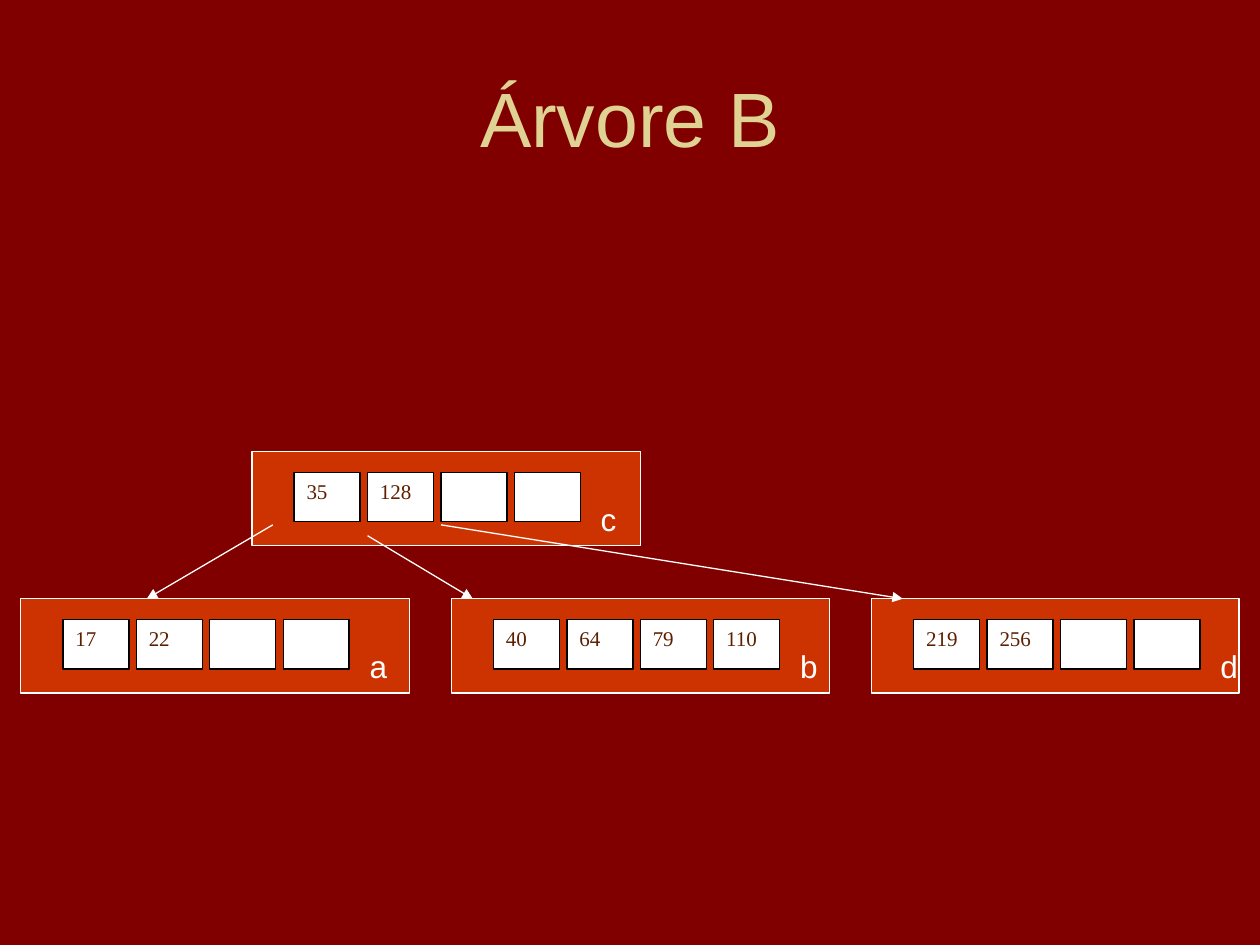
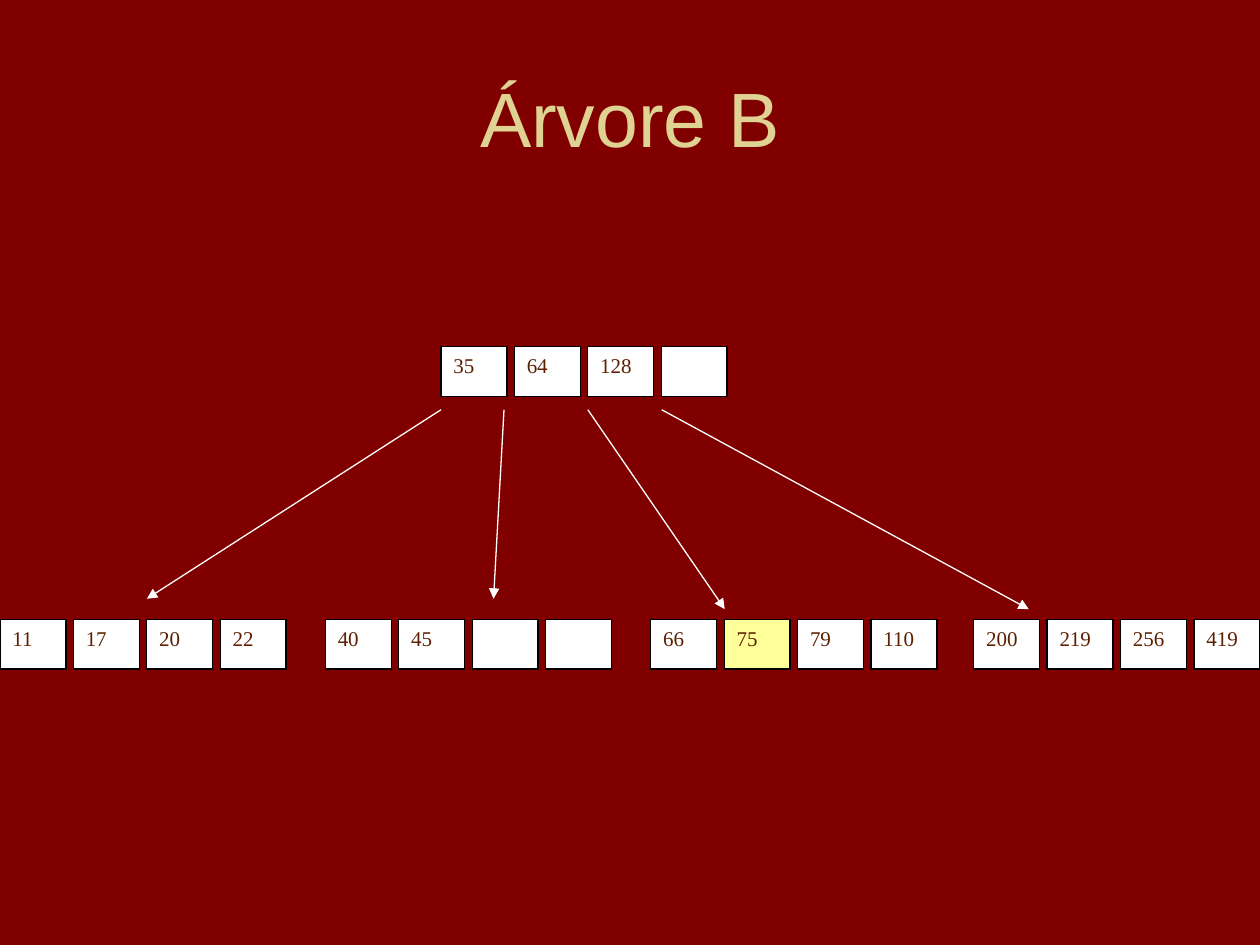
from lxml import etree
from pptx import Presentation
from pptx.dml.color import RGBColor
from pptx.enum.shapes import MSO_CONNECTOR, MSO_SHAPE
from pptx.enum.text import MSO_ANCHOR, MSO_AUTO_SIZE, PP_ALIGN
from pptx.oxml.ns import qn
from pptx.util import Cm, Pt

RECTANGLE = MSO_SHAPE.RECTANGLE
STRAIGHT = MSO_CONNECTOR.STRAIGHT
TOP, MIDDLE = MSO_ANCHOR.TOP, MSO_ANCHOR.MIDDLE
LEFT, CENTER = PP_ALIGN.LEFT, PP_ALIGN.CENTER
GROW = MSO_AUTO_SIZE.SHAPE_TO_FIT_TEXT

COLORS = {
    "background": "800000",
    "title": "DFD293",
    "page": "CC3300",
    "key": "FFFFFF",
    "new_key": "FFFF99",
    "key_border": "000000",
    "key_text": "5C1F00",
    "white": "FFFFFF",
}
TITLE_FONT, KEY_FONT = "Arial", "Times New Roman"
LINE_WIDTH = Pt(0.75)

# Lengths in centimetres
KEYS_PER_PAGE = 4
KEY_WIDTH, KEY_HEIGHT, KEY_STEP = 1.33, 1, 1.48
PAGE_HEIGHT = 1.9
KEYS_OFFSET = (0.85, 0.42)
LABEL_OFFSET = (6.78, 0.85)
LABEL_SIZE = (0.86, 1.02)


def color(name):
    return RGBColor.from_string(COLORS[name])


def write(shape, text, font, size, color_name, alignment=LEFT, anchor=TOP):
    text_frame = shape.text_frame
    text_frame.text = text
    text_frame.vertical_anchor = anchor
    paragraph = text_frame.paragraphs[0]
    paragraph.alignment = alignment
    run = paragraph.runs[0]
    run.font.name = font
    run.font.size = Pt(size)
    run.font.color.rgb = color(color_name)


def add_box(slide, left, top, width, height, fill, border):
    shape = slide.shapes.add_shape(RECTANGLE, Cm(left), Cm(top), Cm(width), Cm(height))
    shape.shadow.inherit = False
    shape.fill.solid()
    shape.fill.fore_color.rgb = color(fill)
    shape.line.color.rgb = color(border)
    shape.line.width = LINE_WIDTH
    return shape


def add_keys(slide, left, top, keys, new_key=None):
    """Draw one row of key cells, leaving unused cells empty."""
    for index in range(KEYS_PER_PAGE):
        key = keys[index] if index < len(keys) else None
        fill = "new_key" if key and key == new_key else "key"
        cell = add_box(slide, left + index * KEY_STEP, top,
                       KEY_WIDTH, KEY_HEIGHT, fill, "key_border")
        if key:
            write(cell, str(key), KEY_FONT, 12, "key_text")


def add_page(slide, label, left, top, width, keys):
    """Draw a framed page with its keys and its letter."""
    add_box(slide, left, top, width, PAGE_HEIGHT, "page", "white")
    add_keys(slide, left + KEYS_OFFSET[0], top + KEYS_OFFSET[1], keys)
    label_box = slide.shapes.add_textbox(
        Cm(left + LABEL_OFFSET[0]), Cm(top + LABEL_OFFSET[1]),
        Cm(LABEL_SIZE[0]), Cm(LABEL_SIZE[1]))
    write(label_box, label, TITLE_FONT, 18, "white")
    label_box.text_frame.word_wrap = False
    label_box.text_frame.auto_size = GROW


def add_arrow(slide, start_x, start_y, end_x, end_y):
    arrow = slide.shapes.add_connector(
        STRAIGHT, Cm(start_x), Cm(start_y), Cm(end_x), Cm(end_y))
    arrow.line.color.rgb = color("white")
    arrow.line.width = LINE_WIDTH
    properties = arrow._element.spPr
    etree.SubElement(properties.find(qn("a:ln")), qn("a:tailEnd"), type="triangle")
    etree.SubElement(properties, qn("a:effectLst"))


def add_tree_slide(presentation):
    """Add a slide with the shared background and title."""
    slide = presentation.slides.add_slide(presentation.slide_layouts[6])
    slide.background.fill.solid()
    slide.background.fill.fore_color.rgb = color("background")
    title = slide.shapes.add_textbox(Cm(1.27), Cm(0.76), Cm(22.86), Cm(3.18))
    title.text_frame.word_wrap = True
    write(title, "Árvore B", TITLE_FONT, 44, "title", CENTER, MIDDLE)
    return slide


def add_labelled_tree(presentation):
    slide = add_tree_slide(presentation)
    leaf_top = 12.07
    # Pages
    for label, left, top, width, keys in (
        ("a", 0.42, leaf_top, 7.83, (17, 22)),
        ("b", 9.1, leaf_top, 7.62, (40, 64, 79, 110)),
        ("c", 5.08, 9.1, 7.83, (35, 128)),
        ("d", 17.57, leaf_top, 7.41, (219, 256)),
    ):
        add_page(slide, label, left, top, width, keys)
    # Pointers to the leaves
    for start_x, start_y, end_x in (
        (5.5, 10.58, 2.96), (7.41, 10.8, 9.53), (8.89, 10.58, 18.2),
    ):
        add_arrow(slide, start_x, start_y, end_x, leaf_top)


def add_insertion_tree(presentation):
    slide = add_tree_slide(presentation)
    # Root
    add_keys(slide, 8.89, 6.99, (35, 64, 128))
    # Leaves
    for left, keys in (
        (0, (11, 17, 20, 22)),
        (6.56, (40, 45)),
        (13.12, (66, 75, 79, 110)),
        (19.63, (200, 219, 256, 419)),
    ):
        add_keys(slide, left, 12.49, keys, new_key=75)
    # Pointers to the leaves
    for start_x, end_x, end_y in (
        (8.89, 2.96, 12.07), (10.16, 9.95, 12.07),
        (11.85, 14.61, 12.28), (13.34, 20.74, 12.28),
    ):
        add_arrow(slide, start_x, 8.26, end_x, end_y)


def main():
    presentation = Presentation()
    presentation.slide_width = Cm(25.4)
    presentation.slide_height = Cm(19.05)
    add_labelled_tree(presentation)
    add_insertion_tree(presentation)
    presentation.save("out.pptx")


if __name__ == "__main__":
    main()
